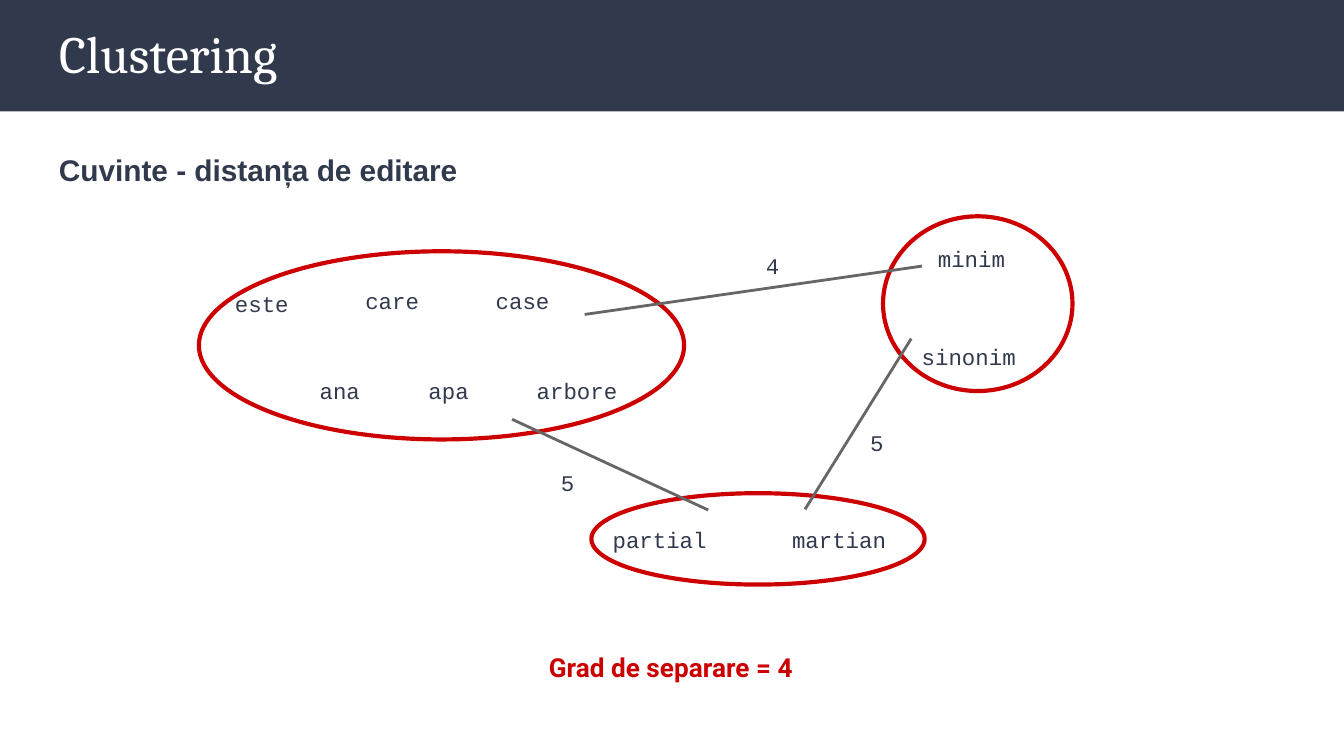
from typing import NamedTuple

from lxml.etree import SubElement
from pptx import Presentation
from pptx.dml.color import RGBColor
from pptx.enum.shapes import MSO_CONNECTOR as Connector, MSO_SHAPE as Preset
from pptx.enum.text import MSO_ANCHOR as Anchor, MSO_AUTO_SIZE as AutoSize, PP_ALIGN as Align
from pptx.oxml.ns import qn
from pptx.util import Inches, Pt

COLORS = {"navy": "31394D", "white": "FFFFFF", "red": "CC0000", "gray": "666666"}
COLUMNS = 100  # the grid has square cells

deck = Presentation()
deck.slide_width = Inches(10)
deck.slide_height = deck.slide_width * 9 // 16
CELL = deck.slide_width / COLUMNS


class Area(NamedTuple):
    column: float
    row: float
    columns: float
    rows: float


class Word(NamedTuple):
    text: str
    column: float
    row: float
    columns: float = 6.4


class Distance(NamedTuple):
    """A line between two clusters with the place of its value."""
    start: tuple[float, float]
    end: tuple[float, float]
    label: Word


TOP_ROW, LOWER_ROW, BOTTOM_ROW = 20.35, 27.1, 38.15
WORDS = [
    Word("este", 16.5, 20.6),
    Word("care", 26.2, TOP_ROW),
    Word("case", 35.9, TOP_ROW),
    Word("ana", 22.8, LOWER_ROW),
    Word("apa", 30.9, LOWER_ROW),
    Word("arbore", 38.95, LOWER_ROW, 9.6),
    Word("minim", 68.8, 17.25, 7.3),
    Word("sinonim", 67.6, 24.55, 9.6),
    Word("partial", 44.6, BOTTOM_ROW, 9.6),
    Word("martian", 57.95, BOTTOM_ROW, 9.6),
]
CLUSTERS = [
    Area(14.8, 18.7, 36.1, 14),
    Area(65.7, 16.1, 14.1, 13),
    Area(44, 36.7, 24.8, 6.8),
]
DISTANCES = [
    Distance((38.1, 31.2), (52.7, 37.95), Word("5", 40.75, 33.9, 3.3)),
    Distance((43.5, 23.4), (68.6, 19.8), Word("4", 56, 17.8, 3.3)),
    Distance((67.8, 25.2), (59.9, 37.9), Word("5", 63.75, 30.9, 3.3)),
]


def color(name: str) -> RGBColor:
    return RGBColor.from_string(COLORS[name])


def emu(*cells: float) -> list[int]:
    return [round(count * CELL) for count in cells]


def write(box, text: str, *, font: str, size: float, ink: str = "navy", bold: bool = False,
          anchor=Anchor.TOP, fit=AutoSize.NONE, spacing: float = 1, after: float = 0) -> None:
    frame = box.text_frame
    frame.word_wrap, frame.auto_size, frame.vertical_anchor = True, fit, anchor
    frame.margin_left = frame.margin_right = Inches(0.1)
    frame.margin_top = frame.margin_bottom = Inches(0.1)
    para = frame.paragraphs[0]
    para.alignment, para.line_spacing = Align.LEFT, spacing
    para.space_before, para.space_after = Pt(0), Pt(after)
    span = para.add_run()
    span.text = text
    span.font.name, span.font.size, span.font.bold = font, Pt(size), bold
    span.font.color.rgb = color(ink)


def add_text(page, area: Area, text: str, **style) -> None:
    write(page.shapes.add_textbox(*emu(*area)), text, **style)


def add_word(page, word: Word) -> None:
    area = Area(word.column, word.row, word.columns, 4)
    add_text(page, area, word.text, font="Courier New", size=12, fit=AutoSize.SHAPE_TO_FIT_TEXT)


def add_banner(page) -> None:
    banner = page.shapes.add_shape(Preset.RECTANGLE, *emu(0, 0, COLUMNS, 8.3))
    banner.shadow.inherit = False
    banner.fill.solid()
    banner.fill.fore_color.rgb = color("navy")
    banner.line.fill.background()
    # Keep the banner behind the title placeholder
    page.shapes.title._element.addprevious(banner._element)


def add_cluster(page, area: Area) -> None:
    ring = page.shapes.add_shape(Preset.OVAL, *emu(*area))
    ring.shadow.inherit = False
    ring.fill.background()
    ring.line.color.rgb, ring.line.width = color("red"), Pt(2.25)


def add_distance(page, distance: Distance) -> None:
    link = page.shapes.add_connector(Connector.STRAIGHT, *emu(*distance.start, *distance.end))
    link.line.color.rgb, link.line.width = color("gray"), Pt(1.5)
    SubElement(link._element.spPr, qn("a:effectLst"))
    add_word(page, distance.label)


def main() -> None:
    page = deck.slides.add_slide(deck.slide_layouts[5])
    add_banner(page)
    title = page.shapes.title
    title.left, title.top, title.width, title.height = emu(3.4, 0.55, 93.2, 6.8)
    write(title, "Clustering", font="Cambria", size=28, ink="white", anchor=Anchor.MIDDLE)
    add_text(page, Area(3.4, 9.9, 93.2, 41.1), "Cuvinte - distanța de editare",
             font="Arial", size=16, bold=True, spacing=1.15, after=12)
    for word in WORDS:
        add_word(page, word)
    for cluster in CLUSTERS:
        add_cluster(page, cluster)
    for distance in DISTANCES:
        add_distance(page, distance)
    add_text(page, Area(39.85, 47.5, 20.3, 4.4), "Grad de separare = 4",
             font="Roboto", size=14, ink="red", bold=True, fit=AutoSize.SHAPE_TO_FIT_TEXT)
    deck.save("out.pptx")


if __name__ == "__main__":
    main()
